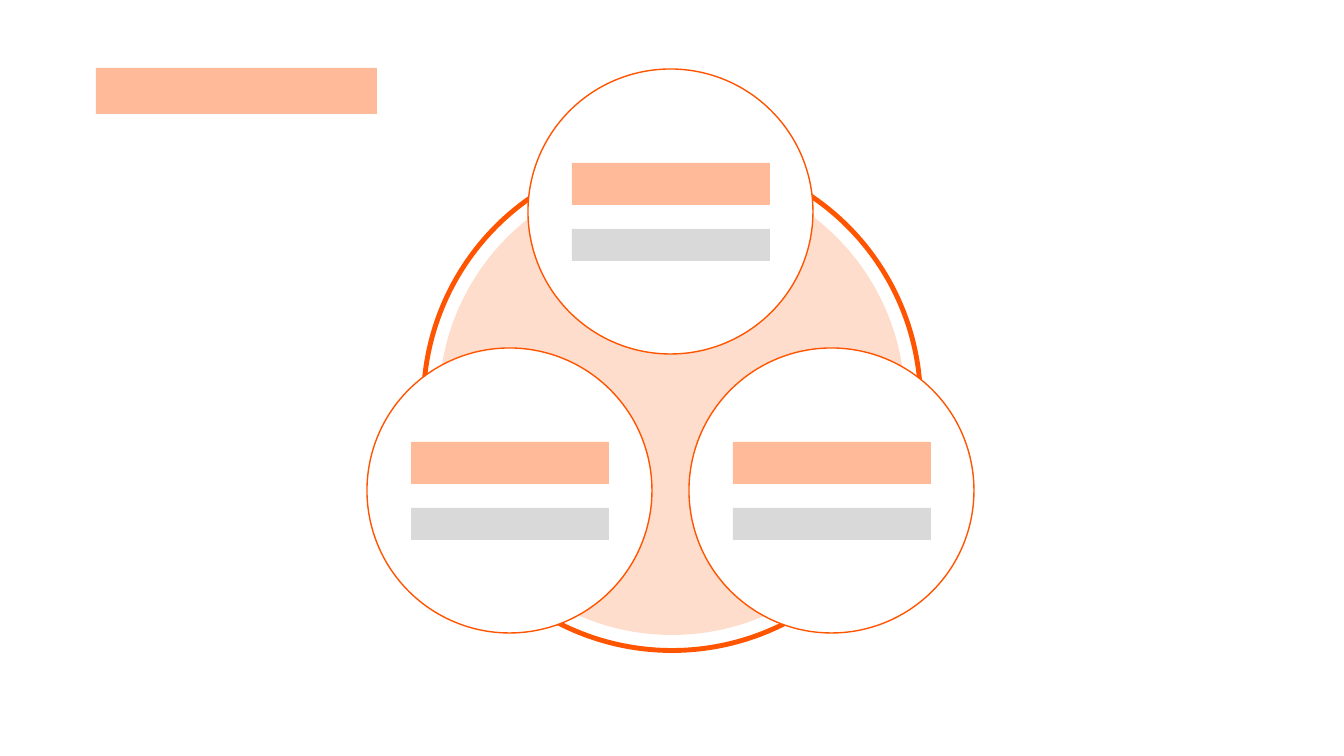
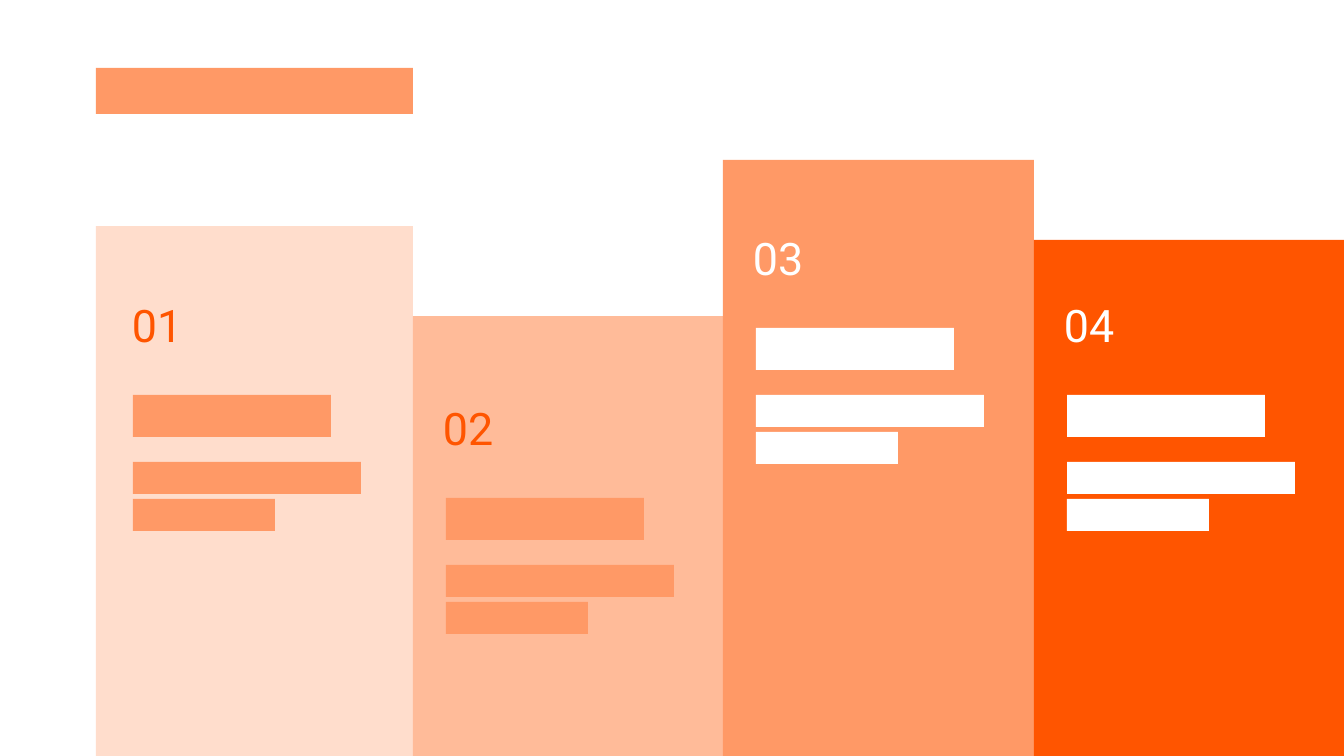
from itertools import pairwise

from pptx import Presentation
from pptx import util as u
from pptx.dml.color import RGBColor
from pptx.enum import shapes, text

ORANGE = RGBColor(0xFF, 0x55, 0x00)
MEDIUM_ORANGE = RGBColor(0xFF, 0x99, 0x66)
LIGHT_ORANGE = RGBColor(0xFF, 0xBB, 0x99)
PALE_ORANGE = RGBColor(0xFF, 0xDD, 0xCC)
GREY = RGBColor(0xD9, 0xD9, 0xD9)
WHITE = RGBColor(0xFF, 0xFF, 0xFF)
FONT = "Roboto"

SLIDE_WIDTH, SLIDE_HEIGHT = 1344, 756
EMU_PER_PX = 12192000 / SLIDE_WIDTH
BLANK_LAYOUT = 6
RECTANGLE = shapes.MSO_SHAPE.RECTANGLE
OVAL = shapes.MSO_SHAPE.OVAL

TITLE_LEFT, TITLE_TOP, TITLE_HEIGHT = 96, 68, 46

RING_CENTRE = (672, 402)
RING_DIAMETER = 497
DISC_DIAMETER = 466
CIRCLE_DIAMETER = 285
CIRCLES = [(528, 69), (689, 348), (367, 348)]
CIRCLE_BARS = [(44, 94, 198, 42, LIGHT_ORANGE), (44, 160, 198, 32, GREY)]

COLUMN_EDGES = [96, 413, 723, 1034, SLIDE_WIDTH]
COLUMNS = [
    {"number": "01", "top": 226, "fill": PALE_ORANGE, "number_left": 122,
     "bars": (133, 395), "bar_fill": MEDIUM_ORANGE, "ink": ORANGE},
    {"number": "02", "top": 316, "fill": LIGHT_ORANGE, "number_left": 433,
     "bars": (446, 498), "bar_fill": MEDIUM_ORANGE, "ink": ORANGE},
    {"number": "03", "top": 160, "fill": MEDIUM_ORANGE, "number_left": 743,
     "bars": (756, 328), "bar_fill": WHITE, "ink": WHITE},
    {"number": "04", "top": 240, "fill": ORANGE, "number_left": 1054,
     "bars": (1067, 395), "bar_fill": WHITE, "ink": WHITE},
]
COLUMN_BARS = [(0, 0, 198, 42), (0, 67, 228, 32), (0, 104, 142, 32)]
NUMBER_RISE = 102
NUMBER_SIZE = (73, 64)


def px(length):
    return u.Emu(round(length * EMU_PER_PX))


def add_box(parent, kind, left, top, width, height, fill=None, line=None, line_width=1):
    shape = parent.shapes.add_shape(kind, px(left), px(top), px(width), px(height))
    shape.shadow.inherit = False
    if fill is None:
        shape.fill.background()
    else:
        shape.fill.solid()
        shape.fill.fore_color.rgb = fill
    if line is None:
        shape.line.fill.background()
    else:
        shape.line.color.rgb = line
        shape.line.width = u.Pt(line_width)
    return shape


def add_text(slide, content, left, top, width, height, *, size, color, wrap=False):
    box = slide.shapes.add_textbox(px(left), px(top), px(width), px(height))
    frame = box.text_frame
    frame.word_wrap = wrap
    frame.auto_size = text.MSO_AUTO_SIZE.SHAPE_TO_FIT_TEXT
    paragraph = frame.paragraphs[0]
    paragraph.text = content
    font = paragraph.runs[0].font
    font.name = FONT
    font.size = u.Pt(size)
    font.color.rgb = color
    return box


def add_bars(slide, left, top, bars):
    group = slide.shapes.add_group_shape()
    for offset_x, offset_y, width, height, fill in bars:
        add_box(group, RECTANGLE, left + offset_x, top + offset_y, width, height, fill)


def add_title_bar(slide, width, fill):
    add_box(slide, RECTANGLE, TITLE_LEFT, TITLE_TOP, width, TITLE_HEIGHT, fill)


def add_centred_circle(slide, diameter, **style):
    left, top = (centre - diameter / 2 for centre in RING_CENTRE)
    add_box(slide, OVAL, left, top, diameter, diameter, **style)


def build_circles(slide):
    add_centred_circle(slide, RING_DIAMETER, line=ORANGE, line_width=3.5)
    add_centred_circle(slide, DISC_DIAMETER, fill=PALE_ORANGE)
    for left, top in CIRCLES:
        add_box(slide, OVAL, left, top, CIRCLE_DIAMETER, CIRCLE_DIAMETER, WHITE, ORANGE)
    for left, top in CIRCLES:
        add_bars(slide, left, top, CIRCLE_BARS)
    add_title_bar(slide, 281, LIGHT_ORANGE)


def build_columns(slide):
    for column, (left, right) in zip(COLUMNS, pairwise(COLUMN_EDGES)):
        top = column["top"]
        add_box(slide, RECTANGLE, left, top, right - left, SLIDE_HEIGHT - top, column["fill"])
    add_title_bar(slide, COLUMN_EDGES[1] - COLUMN_EDGES[0], MEDIUM_ORANGE)
    for column in COLUMNS:
        left, top = column["bars"]
        add_text(slide, column["number"], column["number_left"], top - NUMBER_RISE,
                 *NUMBER_SIZE, size=32, color=column["ink"])
        add_bars(slide, left, top, [(*bar, column["bar_fill"]) for bar in COLUMN_BARS])


def main():
    presentation = Presentation()
    presentation.slide_width = px(SLIDE_WIDTH)
    presentation.slide_height = px(SLIDE_HEIGHT)
    layout = presentation.slide_layouts[BLANK_LAYOUT]
    for build in (build_circles, build_columns):
        build(presentation.slides.add_slide(layout))
    presentation.save("out.pptx")


if __name__ == "__main__":
    main()
